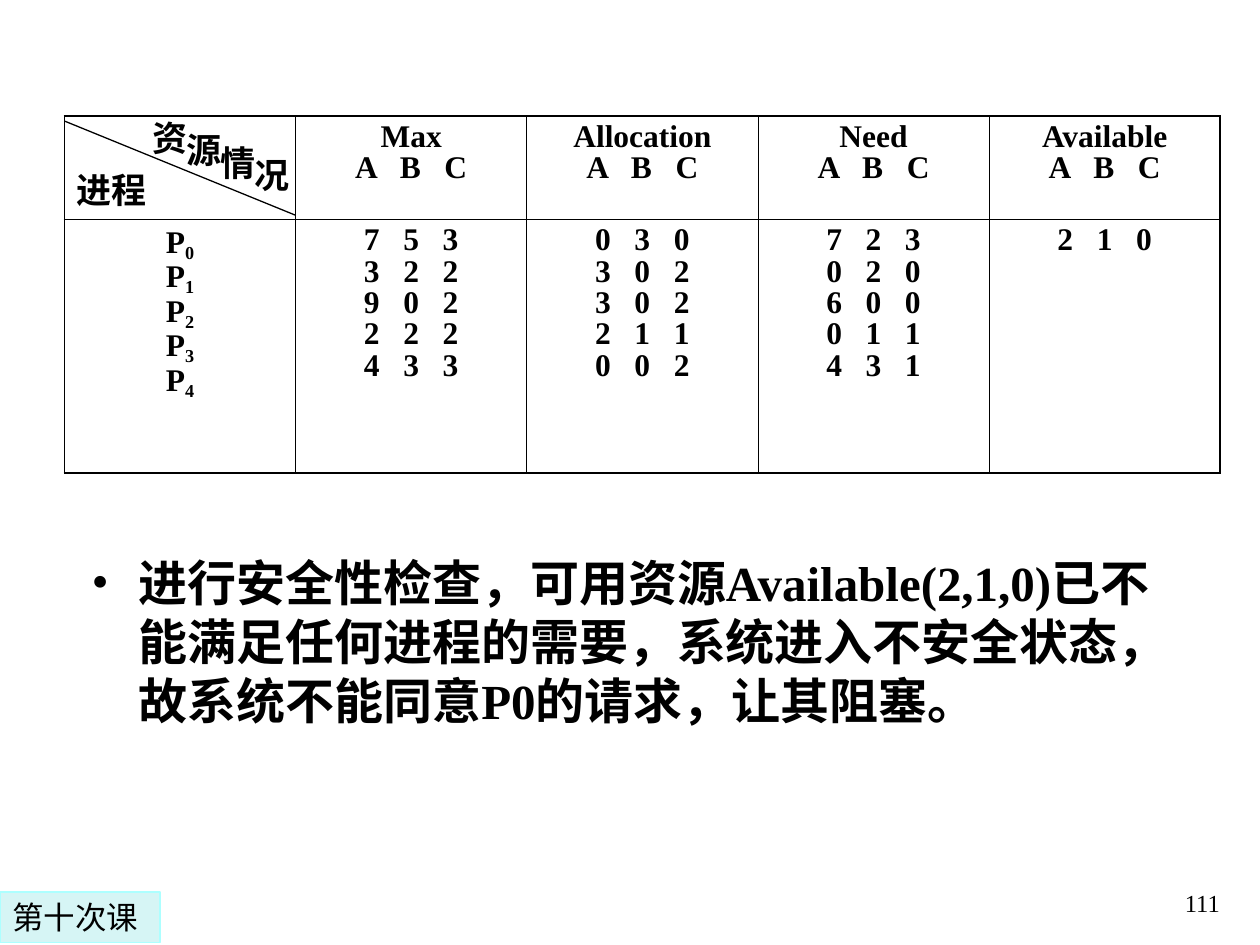
"""Build a slide with a resource table and the result of its safety check."""
from lxml import etree
from pptx import Presentation
from pptx.dml.color import RGBColor
from pptx.enum.shapes import MSO_CONNECTOR, MSO_SHAPE
from pptx.enum.text import MSO_ANCHOR, PP_ALIGN
from pptx.oxml.ns import qn
from pptx.util import Cm, Pt

BLACK = RGBColor(0x00, 0x00, 0x00)
WHITE = RGBColor(0xFF, 0xFF, 0xFF)
PALE = RGBColor(0xD6, 0xF5, 0xF5)
CYAN = RGBColor(0xAD, 0xFF, 0xFF)
LEFT, MID, RIGHT = PP_ALIGN.LEFT, PP_ALIGN.CENTER, PP_ALIGN.RIGHT
TOP, BASE = MSO_ANCHOR.TOP, MSO_ANCHOR.BOTTOM
RECT, LINE = MSO_SHAPE.RECTANGLE, MSO_CONNECTOR.STRAIGHT
SERIF, SANS, LABEL = "Times New Roman", "Lato", "DejaVu Sans"

KINDS = "A B C"
HEADS = ["Max", "Allocation", "Need", "Available"]
PROCS = ["P0", "P1", "P2", "P3", "P4"]
DATA = [
    ["7 5 3", "3 2 2", "9 0 2", "2 2 2", "4 3 3"],
    ["0 3 0", "3 0 2", "3 0 2", "2 1 1", "0 0 2"],
    ["7 2 3", "0 2 0", "6 0 0", "0 1 1", "4 3 1"],
    ["2 1 0"],
]
CORNER = "资源情况"
SIDE = "进程"
POINT = ("进行安全性检查，可用资源Available(2,1,0)已不能满足任何进程的需要，"
         "系统进入不安全状态，故系统不能同意P0的请求，让其阻塞。")
LESSON = "第十次课"
PAGE = "111"

GRID_X, GRID_Y = 1.3, 2.34
COL_W = 4.66
ROWS = [2.08, 5.11]
THIN, THICK = 0.45, 1.08
GAP = 450


def style(run, size, face=SERIF, bold=True):
    font = run.font
    font.size, font.name, font.bold = Pt(size), face, bold
    font.color.rgb = BLACK


def write(frame, text, size, face=SERIF, bold=True, align=LEFT, anchor=TOP):
    frame.word_wrap = True
    frame.vertical_anchor = anchor
    frame.text = text
    para = frame.paragraphs[0]
    para.alignment = align
    style(para.runs[0], size, face, bold)
    return para


def add_text(slide, box, *args, **opts):
    shape = slide.shapes.add_textbox(*map(Cm, box))
    return write(shape.text_frame, *args, **opts)


def add_bullet(para, indent):
    props = para._p.get_or_add_pPr()
    props.set("marL", str(Cm(indent)))
    props.set("indent", str(-Cm(indent)))
    etree.SubElement(props, qn("a:buFont")).set("typeface", SERIF)
    etree.SubElement(props, qn("a:buChar")).set("char", "•")


def set_edges(cell, widths):
    props = cell._tc.get_or_add_tcPr()
    for spot, (side, width) in enumerate(zip("LRTB", widths)):
        edge = etree.Element(qn(f"a:ln{side}"), w=str(Pt(width)))
        fill = etree.SubElement(edge, qn("a:solidFill"))
        etree.SubElement(fill, qn("a:srgbClr")).set("val", str(BLACK))
        props.insert(spot, edge)


def fill_cell(cell, lines):
    cell.fill.solid()
    cell.fill.fore_color.rgb = WHITE
    frame = cell.text_frame
    frame.text = "\n".join(lines)
    for para in frame.paragraphs:
        para.alignment, para.line_spacing = MID, 0.9
        for run in para.runs:
            style(run, 18)
            if " " in run.text:
                run._r.get_or_add_rPr().set("spc", str(GAP))


def drop_index(para):
    run = para.runs[0]
    name, digit = run.text
    run.text = name
    low = para.add_run()
    low.text = digit
    style(low, 18)
    low._r.get_or_add_rPr().set("baseline", "-20000")


def add_grid(slide):
    cells = [[[]] + [[head, KINDS] for head in HEADS], [PROCS] + DATA]
    count = len(cells[0])
    box = GRID_X, GRID_Y, COL_W * count, sum(ROWS)
    table = slide.shapes.add_table(len(ROWS), count, *map(Cm, box)).table
    table.first_row = table.horz_banding = False
    for col in table.columns:
        col.width = Cm(COL_W)
    for r, height in enumerate(ROWS):
        table.rows[r].height = Cm(height)
        for c, lines in enumerate(cells[r]):
            cell = table.cell(r, c)
            fill_cell(cell, lines)
            outer = c == 0, c == count - 1, r == 0, r == len(ROWS) - 1
            set_edges(cell, [THICK if out else THIN for out in outer])
    for para in table.cell(1, 0).text_frame.paragraphs:
        drop_index(para)


def add_corner(slide):
    ends = GRID_X, GRID_Y + 0.1, GRID_X + COL_W, GRID_Y + 2
    line = slide.shapes.add_connector(LINE, *map(Cm, ends))
    line.line.color.rgb, line.line.width = BLACK, Pt(0.75)
    etree.SubElement(line._element.spPr, qn("a:effectLst"))
    add_text(slide, (GRID_X, 3.28, 2.34, 1.12), SIDE, 20, SANS)
    for i, char in enumerate(CORNER):
        box = 2.82 + 0.69 * i, 2.22 + 0.25 * i, 1.3, 1.12
        add_text(slide, box, char, 20, SANS)


def add_lesson(slide):
    tag = slide.shapes.add_shape(RECT, *map(Cm, (0, 17.98, 3.23, 1.02)))
    tag.shadow.inherit = False
    tag.fill.solid()
    tag.fill.fore_color.rgb = PALE
    tag.line.color.rgb, tag.line.width = CYAN, Pt(0.75)
    write(tag.text_frame, LESSON, 18, LABEL, False)


def main():
    deck = Presentation()
    deck.slide_width, deck.slide_height = Cm(25.4), Cm(19.05)
    slide = deck.slides.add_slide(deck.slide_layouts[6])
    add_text(slide, (19.56, 17.35, 5.28, 1.27), PAGE, 14,
             bold=False, align=RIGHT, anchor=BASE)
    add_bullet(add_text(slide, (1.6, 11.02, 22.4, 3.81), POINT, 28), 0.95)
    add_grid(slide)
    add_corner(slide)
    add_lesson(slide)
    deck.save("out.pptx")


if __name__ == "__main__":
    main()
